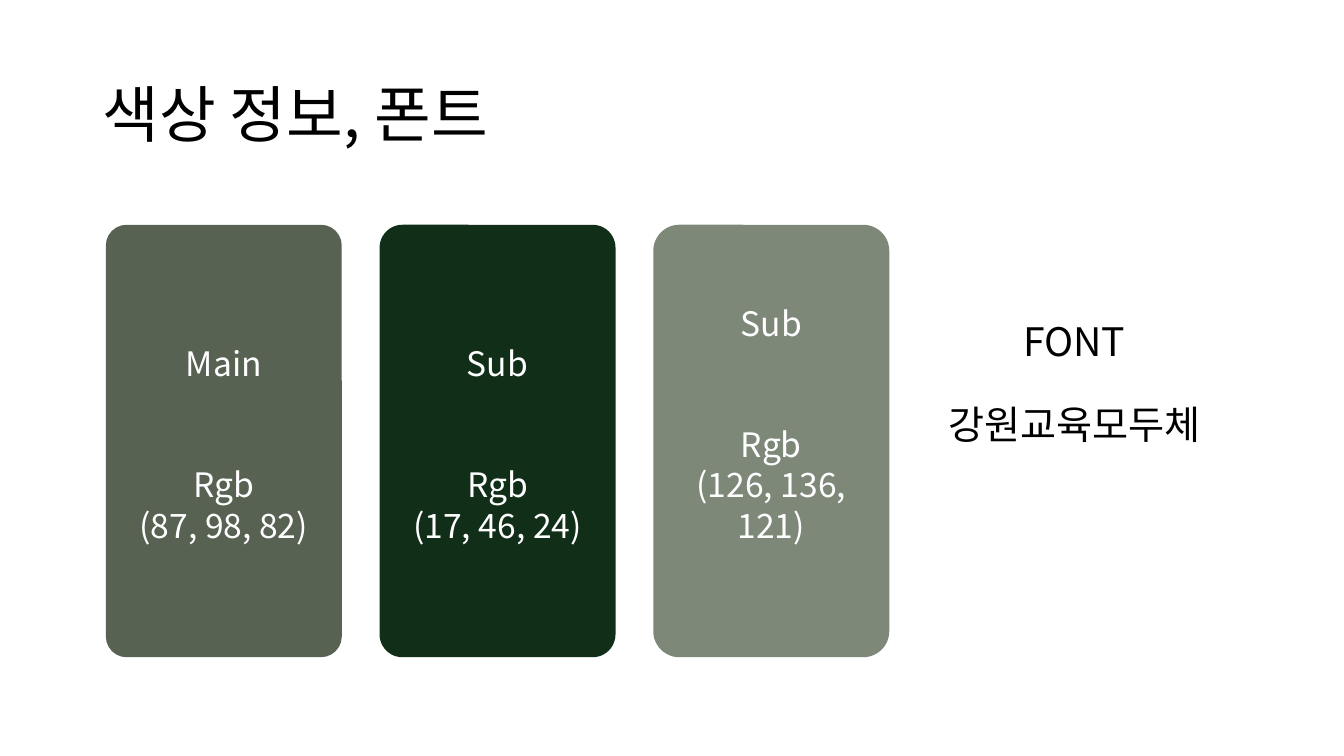
from dataclasses import dataclass

from lxml.etree import SubElement
from pptx import Presentation
from pptx.dml.color import RGBColor
from pptx.enum.shapes import MSO_SHAPE
from pptx.enum.text import MSO_ANCHOR, PP_ALIGN
from pptx.oxml.ns import qn
from pptx.slide import Slide
from pptx.text.text import TextFrame
from pptx.util import Inches, Pt

FONT = "Noto Sans CJK KR"
CARD_LEFT, CARD_TOP = 1.05, 2.23
CARD_WIDTH, CARD_HEIGHT = 2.34, 4.29
CARD_STEP = 2.715
CARD_LINE = 28.8


@dataclass
class ColorCard:
    role: str
    rgb: str
    fill: str
    corner: float
    bottom_margin: float = 0.05


@dataclass
class TextStyle:
    size: float
    color: str
    line_height: float
    gap: float = 0
    alignment: PP_ALIGN = PP_ALIGN.CENTER


CARDS = [
    ColorCard("Main", "(87, 98, 82)", "576252", 0.088),
    ColorCard("Sub", "(17, 46, 24)", "112E18", 0.097),
    ColorCard("Sub", "(126, 136, 121)", "7E8879", 0.11, 0.45),
]
TITLE_STYLE = TextStyle(44, "000000", 47.5, alignment=PP_ALIGN.LEFT)
CARD_STYLE = TextStyle(24, "FFFFFF", CARD_LINE, gap=2 * CARD_LINE)
FONT_STYLE = TextStyle(28, "000000", 49.3, gap=10)


def color(value: str) -> RGBColor:
    return RGBColor.from_string(value)


def write(frame: TextFrame, lines: list[str], style: TextStyle,
          anchor: MSO_ANCHOR, top: float, bottom: float = 0.05) -> None:
    """Fill a frame with one paragraph per line, spaced by the style's gap."""
    frame_format = {
        "word_wrap": True,
        "vertical_anchor": anchor,
        "margin_top": Inches(top),
        "margin_bottom": Inches(bottom),
    }
    for key, value in frame_format.items():
        setattr(frame, key, value)

    for index, line in enumerate(lines):
        paragraph = frame.add_paragraph() if index else frame.paragraphs[0]
        paragraph.text = line
        paragraph_format = {
            "alignment": style.alignment,
            "line_spacing": Pt(style.line_height),
            "space_before": Pt(style.gap if index else 0),
        }
        for key, value in paragraph_format.items():
            setattr(paragraph, key, value)
        for run in paragraph.runs:
            for key, value in {"size": Pt(style.size), "name": FONT}.items():
                setattr(run.font, key, value)
            run.font.color.rgb = color(style.color)
            SubElement(run._r.get_or_add_rPr(), qn("a:ea"), typeface=FONT)


def add_text(slide: Slide, left: float, top: float, width: float,
             height: float) -> TextFrame:
    return slide.shapes.add_textbox(
        Inches(left), Inches(top), Inches(width), Inches(height)).text_frame


def add_card(slide: Slide, card: ColorCard, left: float) -> None:
    swatch = slide.shapes.add_shape(
        MSO_SHAPE.ROUNDED_RECTANGLE, Inches(left), Inches(CARD_TOP),
        Inches(CARD_WIDTH), Inches(CARD_HEIGHT))
    swatch.adjustments[0] = card.corner
    swatch.shadow.inherit = False
    swatch.fill.solid()
    swatch.fill.fore_color.rgb = color(card.fill)
    swatch.line.fill.background()
    write(swatch.text_frame, [card.role, f"Rgb\n{card.rgb}"], CARD_STYLE,
          MSO_ANCHOR.MIDDLE, 0.11, card.bottom_margin)


def main() -> None:
    deck = Presentation()
    deck.slide_width, deck.slide_height = Inches(13.33), Inches(7.5)
    slide = deck.slides.add_slide(deck.slide_layouts[6])

    title = add_text(slide, 0.92, 0.4, 11.5, 1.45)
    write(title, ["색상 정보, 폰트"], TITLE_STYLE, MSO_ANCHOR.MIDDLE, 0.11)

    for index, card in enumerate(CARDS):
        add_card(slide, card, CARD_LEFT + index * CARD_STEP)

    font_info = add_text(slide, 8.9, CARD_TOP, 3.51, CARD_HEIGHT)
    write(font_info, ["FONT", "강원교육모두체"], FONT_STYLE, MSO_ANCHOR.TOP, 0.7)

    deck.save("out.pptx")


if __name__ == "__main__":
    main()
